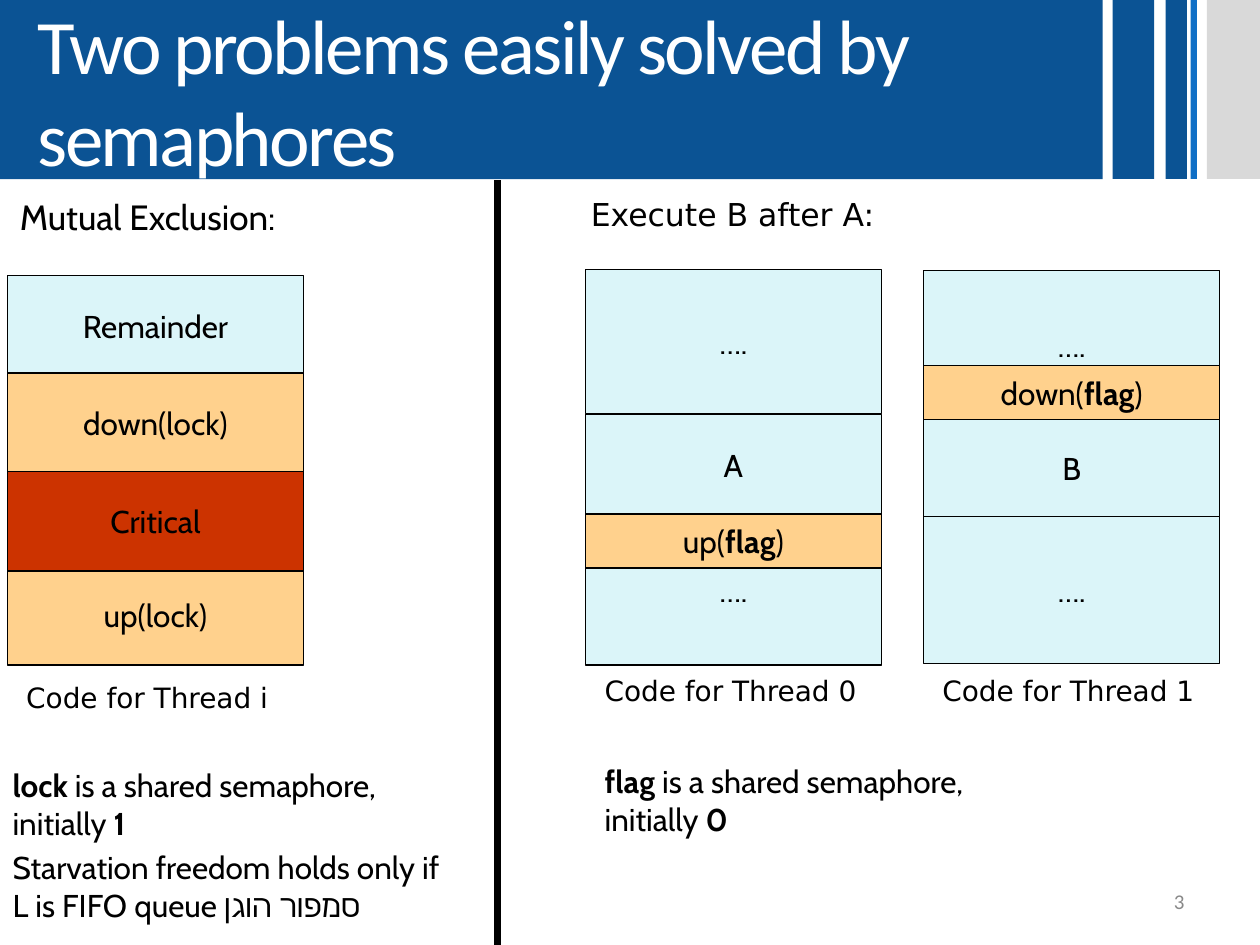
import pptx
import pptx.util
import pptx.dml.color
import pptx.enum.shapes
import pptx.enum.text
import pptx.oxml.ns
import lxml.etree

Cm, Pt = pptx.util.Cm, pptx.util.Pt
ALIGN = pptx.enum.text.PP_ALIGN
ANCHOR = pptx.enum.text.MSO_ANCHOR
FIT = pptx.enum.text.MSO_AUTO_SIZE

# Content: a run is (text, bold); positions are in centimetres
COLORS = {
    "navy": "0B5394", "blue": "0F6FC6", "silver": "D9D9D9", "white": "FFFFFF",
    "black": "000000", "number": "898989",
    "code": "DBF5F9", "semaphore": "FFD18D", "critical": "CC3300",
}
TITLE = "Two problems easily solved by semaphores"
HEADER_HEIGHT = 3.61
HEADER_BARS = [  # left, width, color
    (22.43, 0.84, "navy"), (23.5, 0.43, "navy"),
    (24.0, 0.13, "blue"), (24.33, 1.07, "silver"),
]
LOCK_NOTES = [
    [("lock ", True), ("is a shared semaphore, initially ", False), ("1", True)],
    [("Starvation freedom holds only if L is FIFO queue סמפור הוגן", False)],
]
FLAG_NOTES = [
    [("flag ", True), ("is a shared semaphore, initially ", False), ("0", True)],
]
BLOCK_WIDTH = 5.97
STEP, CALL = 2.01, 1.09  # heights of a code step and a semaphore call
THREADS = [  # left edge, then blocks of (top, height, color, runs)
    (0.15, [
        (5.56, STEP, "code", [("Remainder", False)]),
        (11.4, STEP, "semaphore", [("up(lock)", False)]),
        (7.52, STEP, "semaphore", [("down(lock)", False)]),
        (9.5, STEP, "critical", [("Critical", False)]),
    ]),
    (11.8, [
        (5.44, 2.9, "code", [("….", False)]),
        (8.36, STEP, "code", [("A", False)]),
        (10.36, 3.05, "code", [("….", False)]),
        (10.36, CALL, "semaphore", [("up(", False), ("flag", True), (")", False)]),
    ]),
    (18.62, [
        (5.46, 3.0, "code", [("….", False)]),
        (8.43, STEP, "code", [("B", False)]),
        (10.41, 2.97, "code", [("….", False)]),
        (7.37, CALL, "semaphore", [("down(", False), ("flag", True), (")", False)]),
    ]),
]
CAPTIONS = [  # left, top, text
    (0.28, 13.59, "Code for Thread i"),
    (11.94, 13.46, "Code for Thread 0"),
    (18.75, 13.46, "Code for Thread 1"),
]
NOTE_SIZE = (9.45, 12.57)


def color_of(name):
    return pptx.dml.color.RGBColor.from_string(COLORS[name])


def write(shape, paragraphs, size, font="Cabin", color="black", align=ALIGN.LEFT,
          anchor=ANCHOR.TOP, wrap=True, grow=False, before=0.0):
    frame = shape.text_frame
    frame.word_wrap = wrap
    frame.auto_size = FIT.SHAPE_TO_FIT_TEXT if grow else FIT.NONE
    frame.vertical_anchor = anchor
    for index, runs in enumerate(paragraphs):
        para = frame.add_paragraph() if index else frame.paragraphs[0]
        para.alignment = align
        para.space_before = Pt(round(size * before, 1))
        for text, bold in runs:
            span = para.add_run()
            span.text = text
            span.font.name = font
            span.font.size = Pt(size)
            span.font.bold = bold
            span.font.color.rgb = color_of(color)


def place(shape, left, top, width, height):
    shape.left, shape.top = Cm(left), Cm(top)
    shape.width, shape.height = Cm(width), Cm(height)


def add_text(page, area, paragraphs, size, **style):
    box = page.shapes.add_textbox(*map(Cm, area))
    write(box, paragraphs, size, **style)


def add_block(page, area, fill, outlined=False):
    kind = pptx.enum.shapes.MSO_SHAPE.RECTANGLE
    block = page.shapes.add_shape(kind, *map(Cm, area))
    block.shadow.inherit = False
    block.fill.solid()
    block.fill.fore_color.rgb = color_of(fill)
    if outlined:
        block.line.color.rgb = color_of("black")
        block.line.width = Pt(0.75)
    else:
        block.line.fill.background()
    return block


def main():
    deck = pptx.Presentation()
    deck.slide_width, deck.slide_height = Cm(25.4), Cm(19.05)
    page = deck.slides.add_slide(deck.slide_layouts[1])

    # Header: title band and bars
    title = page.shapes.title
    place(title, 0, 0, 22.23, HEADER_HEIGHT)
    title.fill.solid()
    title.fill.fore_color.rgb = color_of("navy")
    title.text_frame.margin_left = Cm(0.76)
    write(title, [[(TITLE, False)]], 44, font="Calibri", color="white",
          anchor=ANCHOR.MIDDLE)
    for span in title.text_frame.paragraphs[0].runs:
        span.font._element.set("spc", "-150")
    for left, width, color in HEADER_BARS:
        add_block(page, (left, 0, width, HEADER_HEIGHT), color)

    # Notes on the lock, without bullets
    body = page.placeholders[1]
    place(body, 0, 15.32, *NOTE_SIZE)
    write(body, LOCK_NOTES, 18, before=0.2)
    for para in body.text_frame.paragraphs:
        settings = para._p.get_or_add_pPr()
        settings.set("marL", "0")
        settings.set("indent", "0")
        lxml.etree.SubElement(settings, pptx.oxml.ns.qn("a:buNone"))

    # Headings and notes on the flag
    add_text(page, (0.15, 3.81, *NOTE_SIZE), [[("Mutual Exclusion:", False)]], 20,
             before=0.2)
    add_text(page, (11.66, 3.81, 6.43, 1.02), [[("Execute B after A:", False)]], 18,
             font="DejaVu Sans", wrap=False, grow=True, before=0.2)
    add_text(page, (11.94, 15.24, *NOTE_SIZE), FLAG_NOTES, 18, before=0.2)

    # Code of each thread
    for left, blocks in THREADS:
        for top, height, color, runs in blocks:
            block = add_block(page, (left, top, BLOCK_WIDTH, height), color, True)
            write(block, [runs], 18, align=ALIGN.CENTER, anchor=ANCHOR.MIDDLE,
                  wrap=False)
    for left, top, text in CAPTIONS:
        add_text(page, (left, top, 5.69, 0.94), [[(text, False)]], 16,
                 font="DejaVu Sans", wrap=False, grow=True)

    # Divider between the two problems
    straight = pptx.enum.shapes.MSO_CONNECTOR.STRAIGHT
    divider = page.shapes.add_connector(straight, Cm(10.03), Cm(3.63), Cm(10.03),
                                        Cm(19.05))
    divider.line.color.rgb = color_of("black")
    divider.line.width = Pt(4)
    lxml.etree.SubElement(divider._element.spPr, pptx.oxml.ns.qn("a:effectLst"))

    # Page number
    add_text(page, (18.21, 17.65, 5.92, 1.02), [[("3", False)]], 12, font="Calibri",
             color="number", align=ALIGN.RIGHT, anchor=ANCHOR.MIDDLE)

    deck.save("out.pptx")


if __name__ == "__main__":
    main()
